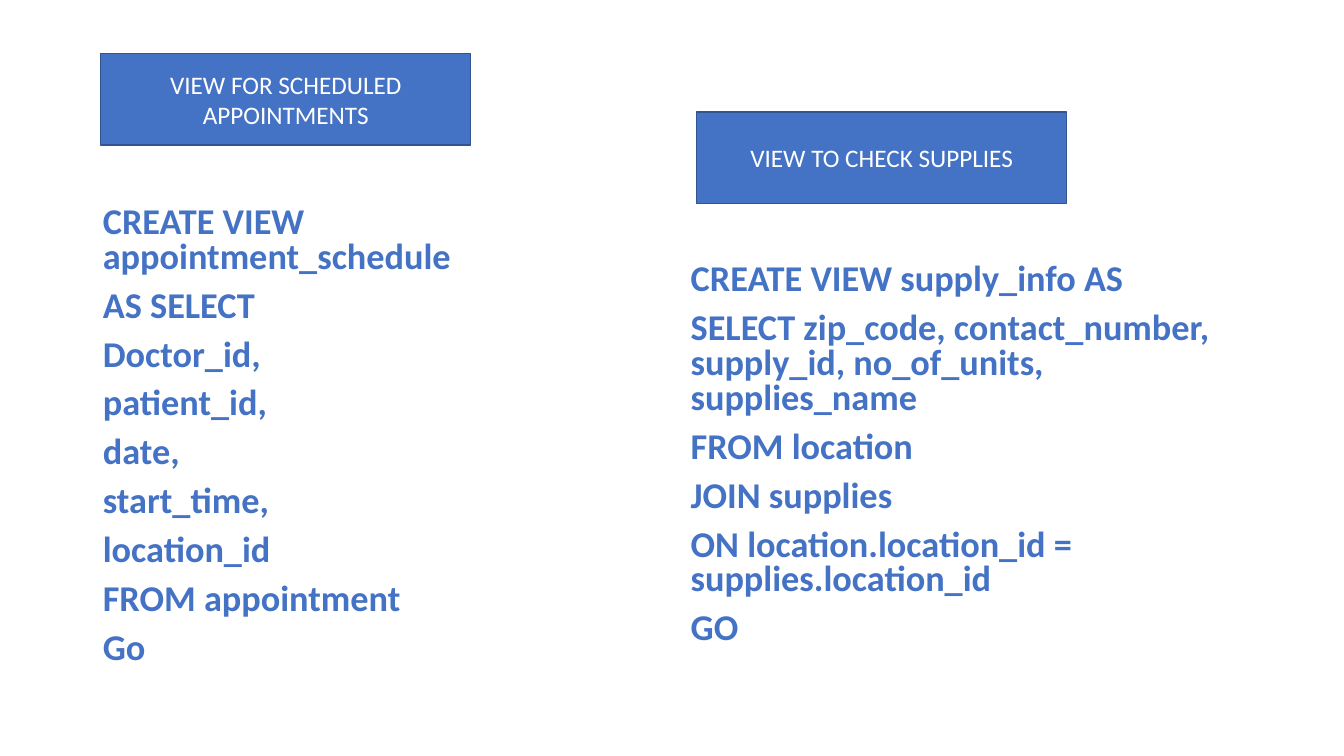
from dataclasses import dataclass

from lxml import etree
from pptx import Presentation
from pptx import util as u
from pptx.dml.color import RGBColor
from pptx.enum import shapes, text
from pptx.oxml import ns

COLOURS = {"blue": "4472C4", "edge": "325491", "white": "FFFFFF"}
FONT = "Calibri"
LABEL_SIZE = (3.67, 0.91)
BODY_WIDTH, BODY_BOTTOM = 5.67, 6.76


@dataclass
class View:
    label: str
    label_at: tuple[float, float]
    body_at: tuple[float, float]
    lines: list[str]


VIEWS = [
    View("VIEW FOR SCHEDULED APPOINTMENTS", (1, 0.53), (0.92, 2), [
        "CREATE VIEW appointment_schedule",
        "AS SELECT",
        "Doctor_id,",
        "patient_id,",
        "date,",
        "start_time,",
        "location_id",
        "FROM appointment",
        "Go",
    ]),
    View("VIEW TO CHECK SUPPLIES", (6.91, 1.11), (6.75, 2.57), [
        "CREATE VIEW supply_info AS",
        "SELECT zip_code, contact_number, supply_id, no_of_units, supplies_name",
        "FROM location",
        "JOIN supplies",
        "ON location.location_id = supplies.location_id",
        "GO",
    ]),
]


def colour(name: str) -> RGBColor:
    return RGBColor.from_string(COLOURS[name])


def style_font(para, size: float, colour_name: str, bold: bool = False) -> None:
    para.font.name = FONT
    para.font.size = u.Pt(size)
    para.font.bold = bold
    para.font.color.rgb = colour(colour_name)


def add_label(page, view: View) -> None:
    left, top, width, height = map(u.Inches, view.label_at + LABEL_SIZE)
    box = page.shapes.add_shape(shapes.MSO_SHAPE.RECTANGLE, left, top, width, height)
    box.shadow.inherit = False
    box.fill.solid()
    box.fill.fore_color.rgb = colour("blue")
    box.line.color.rgb = colour("edge")
    box.line.width = u.Pt(1)
    frame = box.text_frame
    frame.word_wrap = True
    frame.vertical_anchor = text.MSO_ANCHOR.MIDDLE
    para = frame.paragraphs[0]
    para.text = view.label
    para.alignment = text.PP_ALIGN.CENTER
    style_font(para, 18, "white")


def fill_body(body, view: View) -> None:
    left, top = view.body_at
    body.left, body.top = u.Inches(left), u.Inches(top)
    body.width, body.height = u.Inches(BODY_WIDTH), u.Inches(BODY_BOTTOM - top)
    frame = body.text_frame
    frame.text = "\n".join(view.lines)
    frame.word_wrap = True
    frame.auto_size = text.MSO_AUTO_SIZE.NONE
    for index, para in enumerate(frame.paragraphs):
        para.line_spacing = 0.8
        para.space_before = u.Pt(10 if index else 0)
        properties = para._p.get_or_add_pPr()
        properties.set("marL", "0")
        properties.set("indent", "0")
        etree.SubElement(properties, ns.qn("a:buNone"))
        style_font(para, 25.9, "blue", bold=True)


def main() -> None:
    deck = Presentation()
    deck.slide_width, deck.slide_height = u.Inches(13.33), u.Inches(7.5)
    page = deck.slides.add_slide(deck.slide_layouts.get_by_name("Two Content"))
    title, *bodies = page.placeholders
    title.element.getparent().remove(title.element)
    for body, view in zip(bodies, VIEWS):
        fill_body(body, view)
        add_label(page, view)
    deck.save("out.pptx")


if __name__ == "__main__":
    main()
